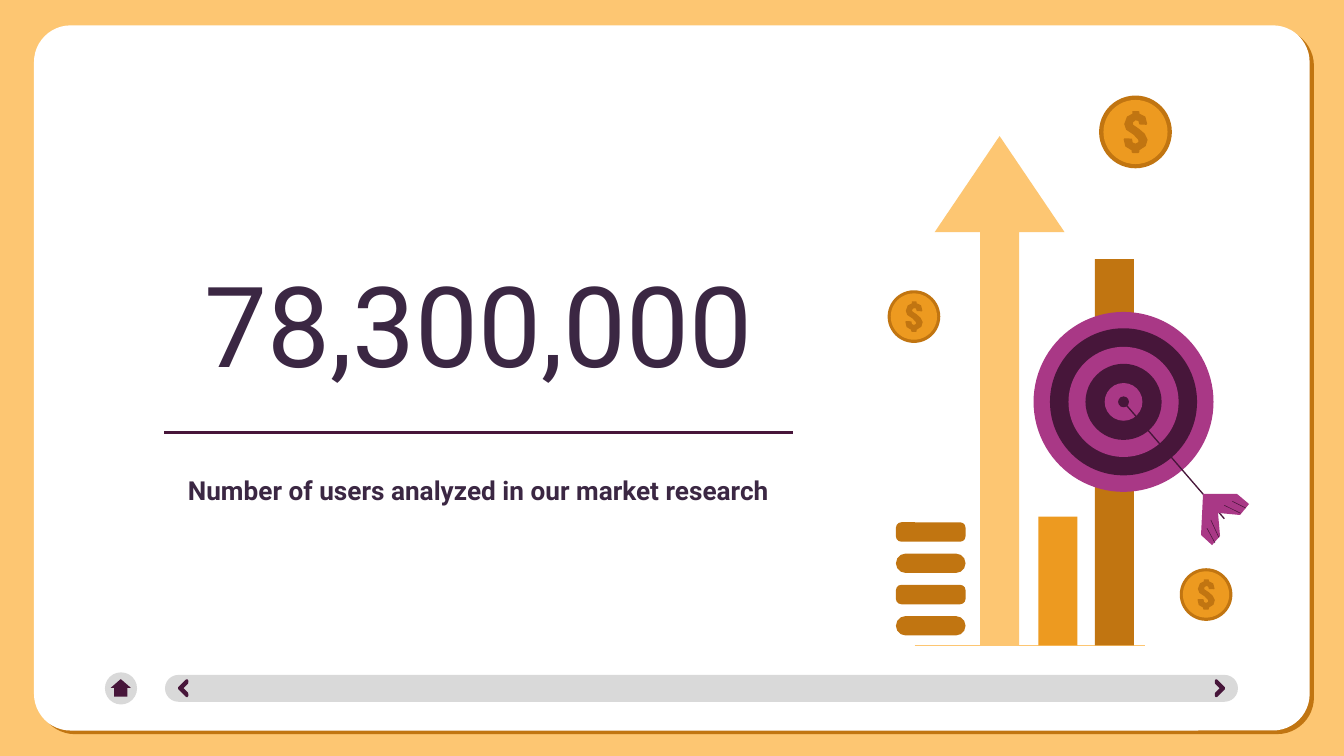
from lxml import etree
from pptx import Presentation
from pptx.dml.color import RGBColor
from pptx.enum import shapes, text
from pptx.oxml.ns import qn
from pptx.util import Pt

SAND = RGBColor(0xFD, 0xC6, 0x72)
ORANGE = RGBColor(0xED, 0x9A, 0x20)
BROWN = RGBColor(0xC1, 0x75, 0x11)
MAGENTA = RGBColor(0xA9, 0x38, 0x86)
PLUM = RGBColor(0x47, 0x16, 0x3A)
INK = RGBColor(0x3B, 0x27, 0x43)
GRAY = RGBColor(0xD9, 0xD9, 0xD9)
WHITE = RGBColor(0xFF, 0xFF, 0xFF)
KIND = shapes.MSO_SHAPE

# Content, all lengths in points
FIGURE = "78,300,000"
CAPTION = "Number of users analyzed in our market research"
GROUND = 345.7
BAR_WIDTH = 21
BARS = [(586.5, 138.8, BROWN), (556.2, 276.8, ORANGE)]  # left, top, colour
STACK_LEFT, STACK_TOP, STACK_PITCH = 480, 279.8, 16.75
STACK_ROUNDING = [0.28, 0.5, 0.28, 0.5]
BULLSEYE = (601.9, 215.3)
RING_RADII = [48.2, 39.4, 29.5, 20.4, 10.1]
FLETCHING = [(644.5, 264.6), (643.4, 286.6), (649.3, 292), (653.6, 287.1),
             (652.5, 274.8), (664.3, 275.9), (669.1, 270), (662.7, 264.6)]
FEATHER_LINES = [(648.7, 278.6, 653, 288), (646.6, 283, 650.9, 290.9),
                 (655.9, 270.7, 664.6, 275), (660.2, 268.6, 667.4, 272.2)]
COINS = [(608.3, 70.7, 19.5), (489.6, 169.6, 14.1), (646.1, 318.5, 14.1)]  # x, y, radius
# Dollar sign around the centre of a coin with radius 19.5
DOLLAR = [(1.4, -11.2), (-1.6, -11.2), (-1.6, -9.7), (-4.5, -8.2), (-6, -4.2),
          (-5, -1.2), (-1, 1.5), (1.5, 4.2), (1.6, 5.5), (0, 6.3), (-1.5, 5.6),
          (-1.8, 3.6), (-5.9, 3.4), (-6.3, 4), (-5.4, 7.8), (-2.1, 9.8),
          (-2.1, 10.8), (-1.5, 11.3), (1.6, 11.3), (2.1, 10.8), (2.1, 9.8),
          (5.5, 7.6), (6.5, 4.2), (5, 1), (2, -1.6), (-1.2, -3.8), (-1.4, -5),
          (0, -6.2), (1.6, -5.9), (2.1, -4), (5.9, -3.8), (6.3, -4.4),
          (5.3, -8.2), (2.1, -9.8), (2.1, -10.9)]

prs = Presentation()
prs.slide_width, prs.slide_height = Pt(720), Pt(405)
slide = prs.slides.add_slide(prs.slide_layouts[6])
slide.background.fill.solid()
slide.background.fill.fore_color.rgb = SAND


def paint(shape, color):
    shape.shadow.inherit = False
    shape.fill.solid()
    shape.fill.fore_color.rgb = color
    shape.line.fill.background()
    return shape


def add_preset(kind, left, top, width, height, color, adjust=(), rotation=0):
    shape = slide.shapes.add_shape(kind, Pt(left), Pt(top), Pt(width), Pt(height))
    for index, value in enumerate(adjust):
        shape.adjustments[index] = value
    shape.rotation = rotation
    return paint(shape, color)


def add_disc(x, y, radius, color):
    return add_preset(KIND.OVAL, x - radius, y - radius, 2 * radius, 2 * radius, color)


def add_outline(points, color):
    corners = [(Pt(x), Pt(y)) for x, y in points]
    builder = slide.shapes.build_freeform(*corners[0])
    builder.add_line_segments(corners[1:], close=True)
    return paint(builder.convert_to_shape(), color)


def add_line(x1, y1, x2, y2, color, width):
    line = slide.shapes.add_connector(
        shapes.MSO_CONNECTOR.STRAIGHT, Pt(x1), Pt(y1), Pt(x2), Pt(y2))
    line.line.color.rgb = color
    line.line.width = Pt(width)
    etree.SubElement(line._element.spPr, qn("a:effectLst"))


def add_text(words, left, top, width, height, *, size, color=INK, bold=False,
             anchor=text.MSO_ANCHOR.TOP):
    frame = slide.shapes.add_textbox(Pt(left), Pt(top), Pt(width), Pt(height)).text_frame
    frame.word_wrap = True
    frame.vertical_anchor = anchor
    frame.margin_left = frame.margin_right = Pt(7.2)
    frame.margin_top = frame.margin_bottom = Pt(7.2)
    paragraph = frame.paragraphs[0]
    paragraph.alignment = text.PP_ALIGN.CENTER
    run = paragraph.add_run()
    run.text = words
    run.font.name, run.font.size, run.font.bold = "Roboto", Pt(size), bold
    run.font.color.rgb = color


# White card with a hard shadow
card = add_preset(KIND.ROUNDED_RECTANGLE, 18.2, 13.6, 683.4, 377.8, WHITE, [0.052])
effects = card._element.spPr.find(qn("a:effectLst"))
shadow = etree.SubElement(effects, qn("a:outerShdw"), blurRad="0", dist=str(Pt(3)),
                          dir=str(40 * 60000), algn="bl", rotWithShape="0")
etree.SubElement(shadow, qn("a:srgbClr"), val=str(BROWN))

# Navigation bar, chevrons and home button
add_preset(KIND.ROUNDED_RECTANGLE, 88.4, 361.6, 574.8, 14.4, GRAY, [0.5])
for left, rotation, flipped in [(97.2, 315, False), (648.7, 45, True)]:
    chevron = add_preset(KIND.HALF_FRAME, left, 365.8, 5.8, 5.8, PLUM, [0.153, 0.153], rotation)
    chevron.line.color.rgb = PLUM
    chevron.line.width = Pt(1.5)
    if flipped:
        chevron._element.spPr.find(qn("a:xfrm")).set("flipH", "1")
add_disc(64.8, 368.8, 8.6, GRAY)
add_preset(KIND.RIGHT_ARROW, 60, 363.1, 9.4, 10.8, PLUM, [0.669, 0.5], 270)

# Key figure, rule and caption
add_text(FIGURE, 56.2, 125.3, 400.3, 90.7, size=60, anchor=text.MSO_ANCHOR.BOTTOM)
add_text(CAPTION, 56.2, 247, 400.3, 33, size=14, bold=True)
add_line(87.9, 231.7, 424.8, 231.7, PLUM, 1.5)

# Ground line, bars, growth arrow and stack
add_line(490, GROUND, 613.5, GROUND, SAND, 0.43)
for left, top, color in BARS:
    add_preset(KIND.RECTANGLE, left, top, BAR_WIDTH, GROUND - top, color)
add_preset(KIND.UP_ARROW, 500.7, 72.9, 69.6, GROUND - 72.9, SAND, [0.3, 0.74])
for row, rounding in enumerate(STACK_ROUNDING):
    add_preset(KIND.ROUNDED_RECTANGLE, STACK_LEFT, STACK_TOP + row * STACK_PITCH,
               37.3, 10.4, BROWN, [rounding])

# Target and dart
for ring, radius in enumerate(RING_RADII):
    add_disc(*BULLSEYE, radius, PLUM if ring % 2 else MAGENTA)
add_line(*BULLSEYE, 655.9, 277.9, PLUM, 0.71)
add_disc(*BULLSEYE, 2.9, PLUM)
add_outline(FLETCHING, MAGENTA)
for ends in FEATHER_LINES:
    add_line(*ends, PLUM, 0.28)

# Coins
for x, y, radius in COINS:
    add_disc(x, y, radius, BROWN)
    add_disc(x, y, radius * 0.88, ORANGE)
    scale = radius / 19.5
    add_outline([(x + dx * scale, y + dy * scale) for dx, dy in DOLLAR], BROWN)

prs.save("out.pptx")
